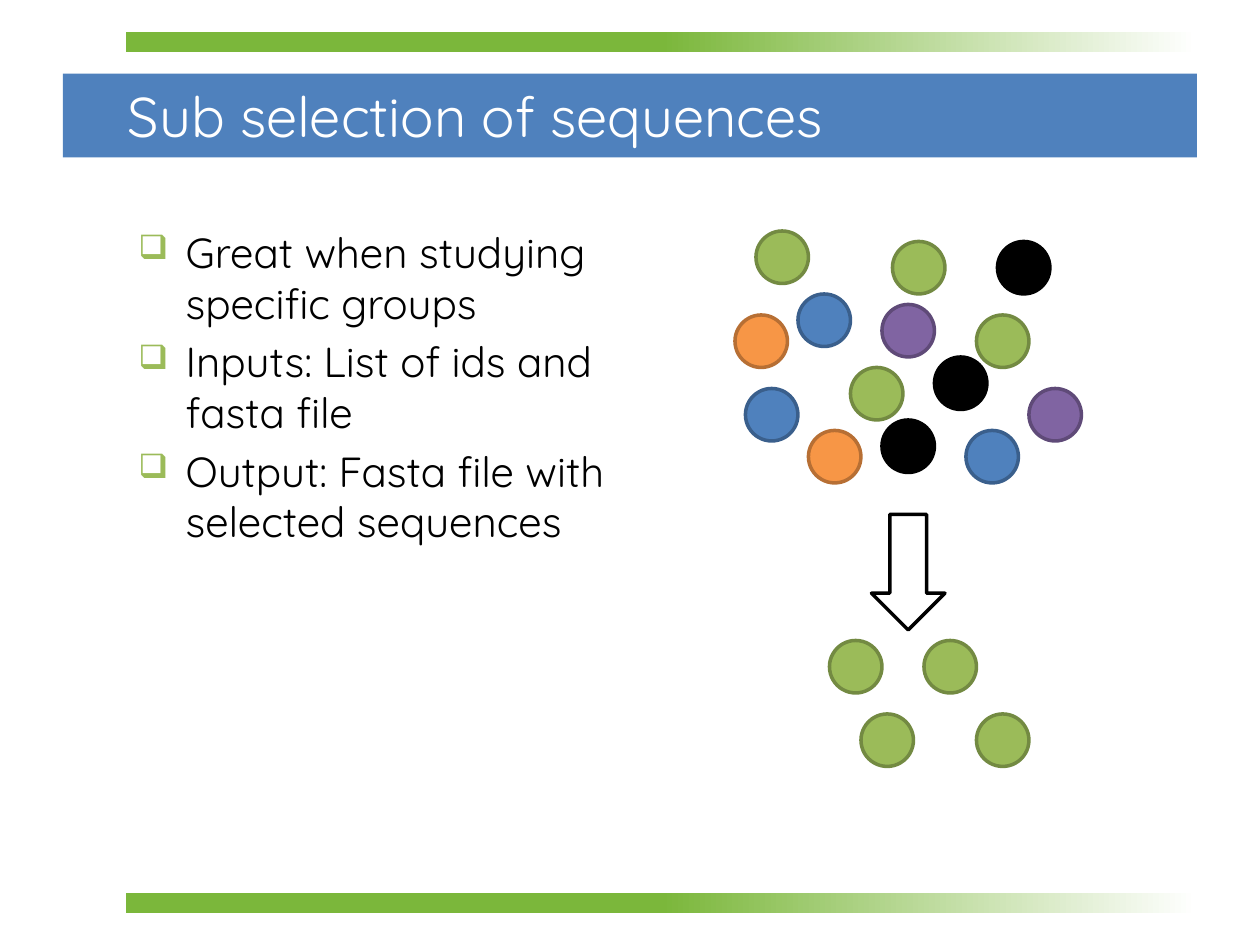
from dataclasses import dataclass

from lxml.etree import SubElement
from pptx import Presentation
from pptx.dml.color import RGBColor
from pptx.enum.shapes import MSO_SHAPE as SHAPE
from pptx.enum.text import MSO_ANCHOR as ANCHOR
from pptx.enum.text import PP_ALIGN as ALIGN
from pptx.oxml.ns import qn
from pptx.shapes.autoshape import Shape
from pptx.slide import Slide
from pptx.text.text import TextFrame, _Paragraph as Paragraph
from pptx.util import Pt

WHITE = RGBColor(0xFF, 0xFF, 0xFF)
BLACK = RGBColor(0x00, 0x00, 0x00)
BLUE = RGBColor(0x4F, 0x81, 0xBD)
BLUE_EDGE = RGBColor(0x3A, 0x5F, 0x8C)
GREEN = RGBColor(0x9B, 0xBB, 0x59)
GREEN_EDGE = RGBColor(0x73, 0x8A, 0x42)
PURPLE = RGBColor(0x80, 0x64, 0xA2)
PURPLE_EDGE = RGBColor(0x5F, 0x4A, 0x78)
ORANGE = RGBColor(0xF7, 0x96, 0x46)
ORANGE_EDGE = RGBColor(0xB7, 0x6F, 0x34)
BAND_GREEN = RGBColor(0x7B, 0xB7, 0x3B)

FONT = "Quicksand"
TITLE_FORMAT = {"name": FONT, "size": Pt(32)}
BODY_FORMAT = {"name": FONT, "size": Pt(24)}
DOT_SIZE = 30
INDENT = 27
BULLETS = (
    "Great when studying specific groups",
    "Inputs: List of ids and fasta file",
    "Output: Fasta file with selected sequences",
)


@dataclass(frozen=True)
class Box:
    left: float
    top: float
    width: float
    height: float

    def lengths(self) -> tuple[Pt, Pt, Pt, Pt]:
        return Pt(self.left), Pt(self.top), Pt(self.width), Pt(self.height)


@dataclass(frozen=True)
class Style:
    fill: RGBColor
    edge: RGBColor


@dataclass(frozen=True)
class Dot:
    left: float
    top: float
    style: Style


BLUE_DOT = Style(BLUE, BLUE_EDGE)
GREEN_DOT = Style(GREEN, GREEN_EDGE)
PURPLE_DOT = Style(PURPLE, PURPLE_EDGE)
ORANGE_DOT = Style(ORANGE, ORANGE_EDGE)
BLACK_DOT = Style(BLACK, BLACK)
ARROW = Style(WHITE, BLACK)

ALL_SEQUENCES = (
    Dot(426, 222, BLUE_DOT),
    Dot(504, 174, PURPLE_DOT),
    Dot(456, 168, BLUE_DOT),
    Dot(486, 210, GREEN_DOT),
    Dot(420, 180, ORANGE_DOT),
    Dot(462, 246, ORANGE_DOT),
    Dot(552, 246, BLUE_DOT),
    Dot(558, 180, GREEN_DOT),
    Dot(510, 138, GREEN_DOT),
    Dot(570, 138, BLACK_DOT),
    Dot(534, 204, BLACK_DOT),
    Dot(588, 222, PURPLE_DOT),
    Dot(504, 240, BLACK_DOT),
    Dot(432, 132, GREEN_DOT),
)
SELECTED_SEQUENCES = tuple(
    Dot(left, top, GREEN_DOT)
    for left, top in ((492, 408), (558, 408), (528, 366), (474, 366))
)


def add_plain(s: Slide, kind: SHAPE, box: Box) -> Shape:
    sp = s.shapes.add_shape(kind, *box.lengths())
    sp.shadow.inherit = False
    sp.line.fill.background()
    return sp


def add_outlined(s: Slide, kind: SHAPE, box: Box, style: Style) -> None:
    sp = add_plain(s, kind, box)
    sp.fill.solid()
    sp.fill.fore_color.rgb = style.fill
    sp.line.color.rgb = style.edge
    sp.line.width = Pt(2)


def add_fading_band(s: Slide, top: float) -> None:
    sp = add_plain(s, SHAPE.RECTANGLE, Box(72, top, 612, 12))
    sp.fill.gradient()
    sp.fill.gradient_angle = 0
    stops = ((0.5, BAND_GREEN), (1, WHITE))
    for stop, (position, color) in zip(sp.fill.gradient_stops, stops):
        stop.position = position
        stop.color.rgb = color


def add_text_box(s: Slide, box: Box, anchor: ANCHOR) -> TextFrame:
    tf = s.shapes.add_textbox(*box.lengths()).text_frame
    tf.word_wrap = True
    tf.vertical_anchor = anchor
    return tf


def write(p: Paragraph, text: str, formats: dict, color: RGBColor) -> None:
    p.alignment = ALIGN.LEFT
    r = p.add_run()
    r.text = text
    for name, value in formats.items():
        setattr(r.font, name, value)
    r.font.color.rgb = color


def set_bullet(p: Paragraph) -> None:
    p.space_before = Pt(4.8)
    pPr = p._p.get_or_add_pPr()
    pPr.set("marL", str(Pt(INDENT)))
    pPr.set("indent", str(Pt(-INDENT)))
    color = SubElement(pPr, qn("a:buClr"))
    SubElement(color, qn("a:srgbClr"), val=str(GREEN))
    SubElement(pPr, qn("a:buSzPct"), val="80000")
    SubElement(pPr, qn("a:buChar"), char="❑")


def main() -> None:
    prs = Presentation()
    prs.slide_width, prs.slide_height = Pt(720), Pt(540)
    s = prs.slides.add_slide(prs.slide_layouts[6])

    banner = add_plain(s, SHAPE.RECTANGLE, Box(36, 42, 648, 48))
    banner.fill.solid()
    banner.fill.fore_color.rgb = BLUE
    for top in (18, 510):
        add_fading_band(s, top)

    title = add_text_box(s, Box(66, 42, 618, 48), ANCHOR.MIDDLE)
    write(title.paragraphs[0], "Sub selection of sequences", TITLE_FORMAT, WHITE)

    body = add_text_box(s, Box(72, 126, 288, 356), ANCHOR.TOP)
    for i, text in enumerate(BULLETS):
        p = body.add_paragraph() if i else body.paragraphs[0]
        write(p, text, BODY_FORMAT, BLACK)
        set_bullet(p)

    for dot in ALL_SEQUENCES + SELECTED_SEQUENCES:
        box = Box(dot.left, dot.top, DOT_SIZE, DOT_SIZE)
        add_outlined(s, SHAPE.OVAL, box, dot.style)
    add_outlined(s, SHAPE.DOWN_ARROW, Box(498, 294, 42, 66), ARROW)

    prs.save("out.pptx")


if __name__ == "__main__":
    main()
